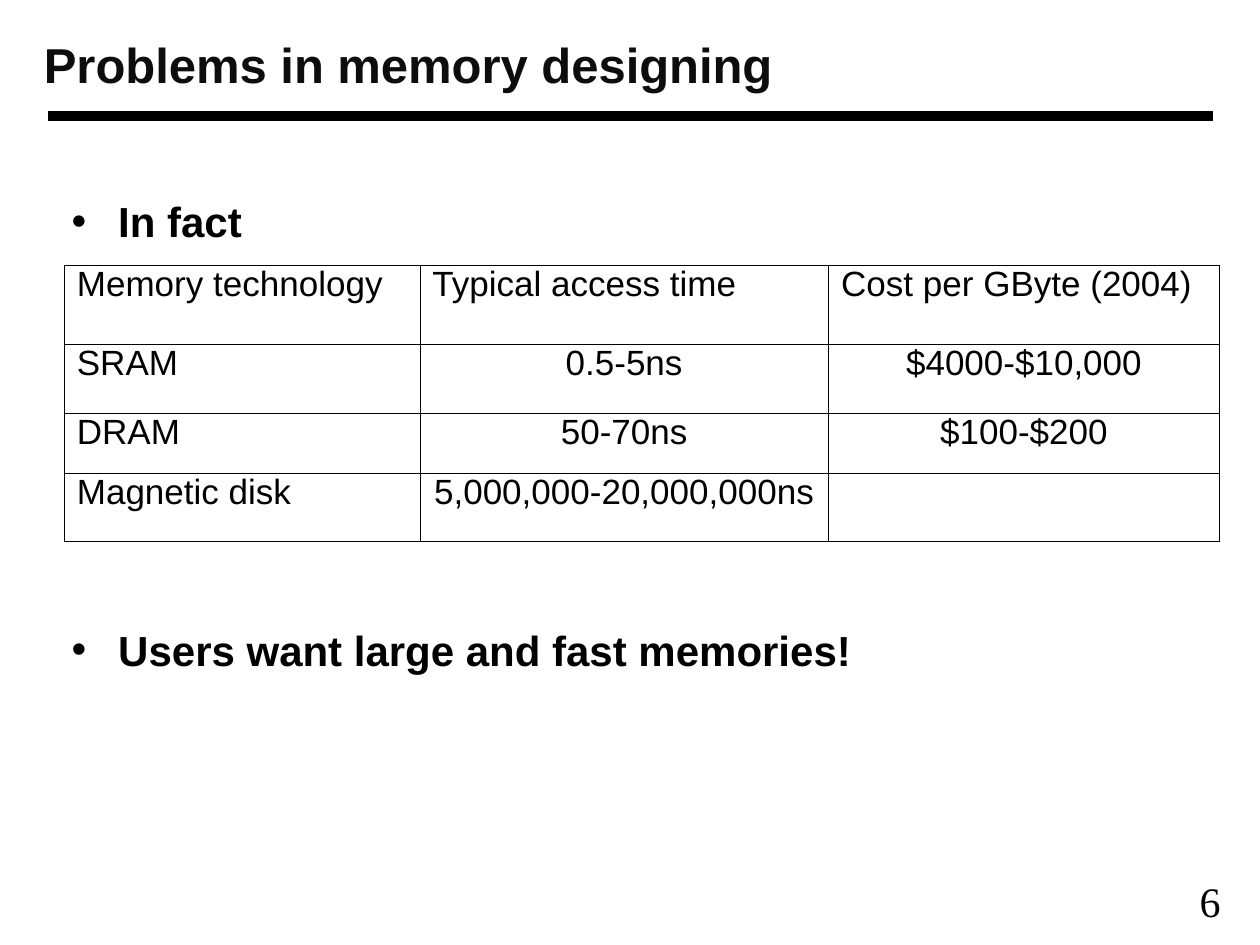
from lxml import etree
from pptx import Presentation
from pptx.dml.color import RGBColor
from pptx.enum.shapes import MSO_CONNECTOR
from pptx.enum.text import MSO_ANCHOR, PP_ALIGN as Align
from pptx.oxml.ns import qn
from pptx.util import Pt

BLACK = RGBColor(0x00, 0x00, 0x00)
TITLE_COLOUR = RGBColor(0x0D, 0x0D, 0x0D)

TITLE_FONT = {"name": "Arial", "size": Pt(28), "bold": True}
POINT_FONT = {"name": "Arial", "size": Pt(24), "bold": True}
CELL_FONT = {"name": "Arial", "size": Pt(20), "bold": False}
NUMBER_FONT = {"name": "Times New Roman", "size": Pt(24), "bold": False}

POINTS = ["In fact", "Users want large and fast memories!"]
POINT_INDENT = Pt(26.64)
TABLE_GAP = Pt(216)  # room for the table between the two points

MEMORY_ROWS = [
    ("Memory technology", "Typical access time", "Cost per GByte (2004)"),
    ("SRAM", "0.5-5ns", "$4000-$10,000"),
    ("DRAM", "50-70ns", "$100-$200"),
    ("Magnetic disk", "5,000,000-20,000,000ns", ""),
]
COLUMN_WIDTHS = [203.2, 233.6, 223.4]
ROW_HEIGHTS = [45.2, 39.8, 34, 39.2]
OUTER_BORDER, INNER_BORDER = Pt(0.11), Pt(0.06)


def format_text(paragraph, text, font_format, colour=BLACK, align=Align.LEFT):
    paragraph.alignment = align
    font = paragraph.add_run().font if text else paragraph.font
    if text:
        paragraph.runs[0].text = text
    for attribute, value in font_format.items():
        setattr(font, attribute, value)
    font.color.rgb = colour


def add_text_frame(slide, left, top, width, height, wrap=True):
    frame = slide.shapes.add_textbox(
        Pt(left), Pt(top), Pt(width), Pt(height)).text_frame
    frame.word_wrap = wrap
    return frame


def add_bullet(paragraph):
    properties = paragraph._p.get_or_add_pPr()
    properties.set("marL", str(POINT_INDENT))
    properties.set("indent", str(-POINT_INDENT))
    etree.SubElement(properties, qn("a:buFont"), typeface="Arial")
    etree.SubElement(properties, qn("a:buChar"), char="•")


def add_points(slide):
    frame = add_text_frame(slide, 33.84, 105.84, 628.56, 292.32)
    frame.margin_top = Pt(6)
    for index, point in enumerate(POINTS):
        paragraph = frame.add_paragraph() if index else frame.paragraphs[0]
        add_bullet(paragraph)
        if index:
            paragraph.space_before = TABLE_GAP
        format_text(paragraph, point, POINT_FONT)


def add_rule(slide):
    rule = slide.shapes.add_connector(
        MSO_CONNECTOR.STRAIGHT, Pt(27.36), Pt(66.24), Pt(693.36), Pt(66.24))
    rule.line.width = Pt(6)
    rule.line.color.rgb = BLACK
    etree.SubElement(rule._element.spPr, qn("a:effectLst"))


def set_borders(cell, outer_sides):
    properties = cell._tc.get_or_add_tcPr()
    for side, is_outer in outer_sides.items():
        width = OUTER_BORDER if is_outer else INNER_BORDER
        border = etree.SubElement(properties, qn(f"a:ln{side}"), w=str(width))
        fill = etree.SubElement(border, qn("a:solidFill"))
        etree.SubElement(fill, qn("a:srgbClr"), val=str(BLACK))


def add_memory_table(slide):
    table = slide.shapes.add_table(
        len(ROW_HEIGHTS), len(COLUMN_WIDTHS), Pt(36.72), Pt(151.2),
        Pt(sum(COLUMN_WIDTHS)), Pt(sum(ROW_HEIGHTS))).table
    table.first_row = table.horz_banding = False
    for column, width in zip(table.columns, COLUMN_WIDTHS):
        column.width = Pt(width)
    for row, height in zip(table.rows, ROW_HEIGHTS):
        row.height = Pt(height)

    last_row, last_column = len(ROW_HEIGHTS) - 1, len(COLUMN_WIDTHS) - 1
    for r, values in enumerate(MEMORY_ROWS):
        for c, value in enumerate(values):
            cell = table.cell(r, c)
            set_borders(cell, {"L": c == 0, "R": c == last_column,
                               "T": r == 0, "B": r == last_row})
            cell.fill.background()
            paragraph = cell.text_frame.paragraphs[0]
            paragraph.line_spacing = 0.81
            align = Align.CENTER if r and c else Align.LEFT
            format_text(paragraph, value, CELL_FONT, align=align)


def main():
    presentation = Presentation()
    presentation.slide_width, presentation.slide_height = Pt(720), Pt(540)
    slide = presentation.slides.add_slide(presentation.slide_layouts[6])

    # Rule and slide number
    add_rule(slide)
    number = add_text_frame(slide, 634.32, 496.8, 114.48, 36, wrap=False)
    format_text(number.paragraphs[0], "6", NUMBER_FONT, align=Align.CENTER)

    # Points, title and table
    add_points(slide)
    title = add_text_frame(slide, 18, 12.24, 599.76, 48.24)
    title.vertical_anchor = MSO_ANCHOR.MIDDLE
    format_text(title.paragraphs[0], "Problems in memory designing",
                TITLE_FONT, TITLE_COLOUR)
    add_memory_table(slide)

    presentation.save("out.pptx")


if __name__ == "__main__":
    main()
